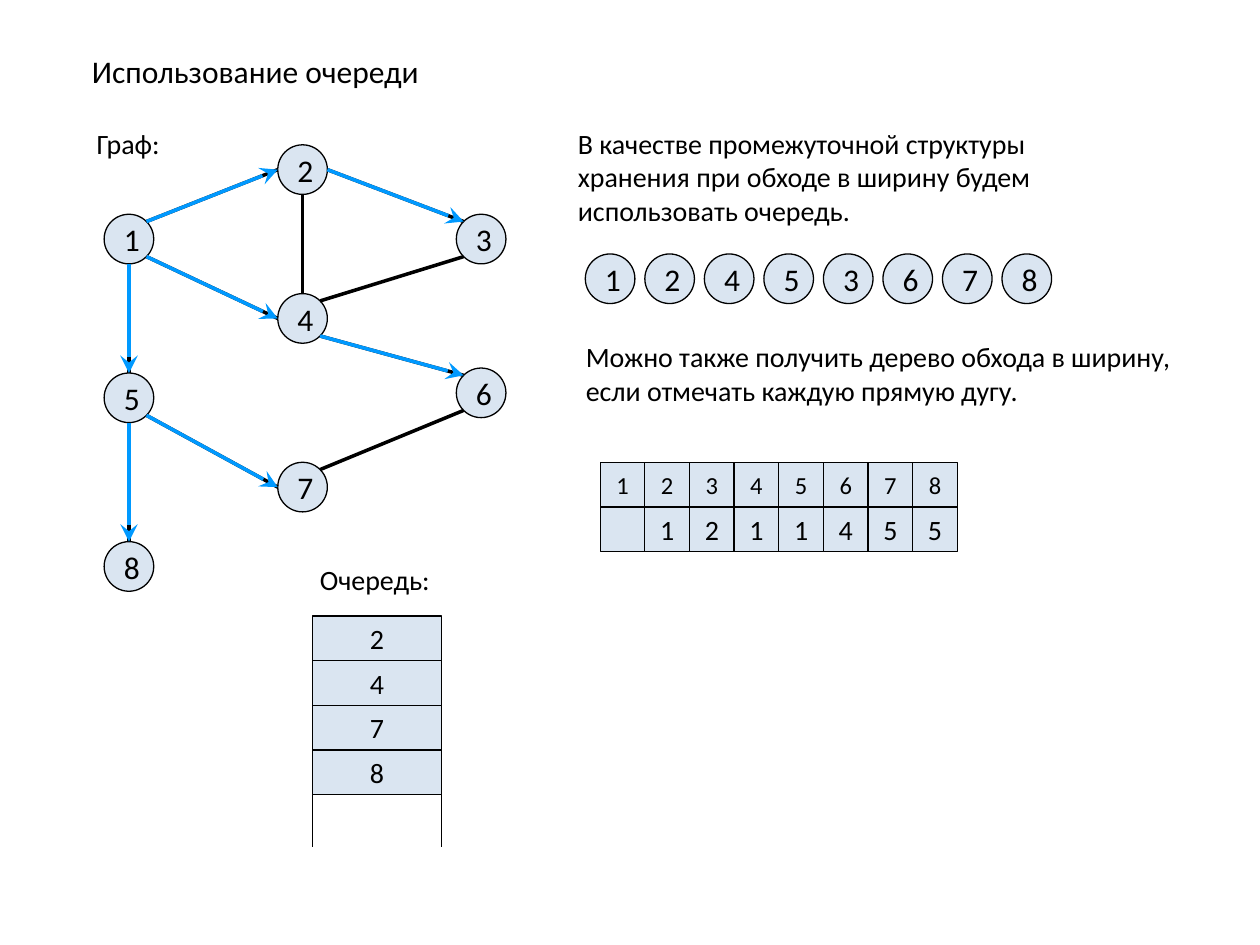
from math import cos, radians, sin

from lxml import etree
from pptx import Presentation
from pptx.dml.color import RGBColor
from pptx.enum.shapes import MSO_CONNECTOR, MSO_SHAPE
from pptx.enum.text import MSO_ANCHOR, MSO_AUTO_SIZE, PP_ALIGN
from pptx.oxml.ns import qn
from pptx.util import Cm, Pt

OVAL, RECTANGLE = MSO_SHAPE.OVAL, MSO_SHAPE.RECTANGLE
STRAIGHT = MSO_CONNECTOR.STRAIGHT
TOP, MIDDLE = MSO_ANCHOR.TOP, MSO_ANCHOR.MIDDLE
LEFT, CENTER = PP_ALIGN.LEFT, PP_ALIGN.CENTER
NO_AUTOFIT = MSO_AUTO_SIZE.NONE

BLACK = RGBColor(0x00, 0x00, 0x00)
PALE_BLUE = RGBColor(0xDA, 0xE5, 0xF1)
TREE_BLUE = RGBColor(0x00, 0x99, 0xFF)

# All lengths are in centimetres
NODE_SIZE = 1.0
CELL_SIZE = 0.9
THIN, THICK = 0.75, 2

# Top left corner of each graph node
NODES = {
    1: (2.1, 4.32), 2: (5.6, 2.92), 3: (9.2, 4.32), 4: (5.6, 5.92),
    5: (2.1, 7.52), 6: (9.2, 7.42), 7: (5.6, 9.32), 8: (2.1, 10.92),
}

# Where an edge touches a node, in degrees clockwise from the right
SITES = {"E": 0, "SE": 45, "S": 90, "SW": 135, "W": 180, "NW": 225, "N": 270, "NE": 315}

# Edges: node, site, node, site
TREE_EDGES = [
    (1, "NE", 2, "W"), (1, "SE", 4, "W"), (1, "S", 5, "N"), (2, "E", 3, "NW"),
    (4, "SE", 6, "NW"), (5, "SE", 7, "W"), (5, "S", 8, "N"),
]
OTHER_EDGES = [(2, "S", 4, "N"), (4, "NE", 3, "SW"), (6, "SW", 7, "NE")]

VISIT_ORDER = [1, 2, 4, 5, 3, 6, 7, 8]
PARENTS = ["", 1, 2, 1, 1, 4, 5, 5]
QUEUE = [2, 4, 7, 8]

# Text boxes: left, top, width, height, paragraphs ("\v" is a line break)
CAPTIONS = [
    (1.7, 2.42, 2.06, 0.94, "Граф:"),
    (11.4, 2.42, 10.67, 2.28,
     "В качестве промежуточной структуры \vхранения при обходе в ширину будем\n"
     "использовать очередь."),
    (11.56, 6.72, 13.54, 1.63,
     "Можно также получить дерево обхода в ширину, \vесли отмечать каждую прямую дугу."),
    (6.2, 11.22, 2.97, 0.94, "Очередь:"),
]


def write(frame, text, size, align=LEFT, anchor=TOP):
    frame.text = text
    frame_format = {"word_wrap": True, "auto_size": NO_AUTOFIT, "vertical_anchor": anchor}
    for key, value in frame_format.items():
        setattr(frame, key, value)
    font_format = {"name": "Calibri", "size": Pt(size), "bold": False}
    for paragraph in frame.paragraphs:
        paragraph.alignment = align
        for run in paragraph.runs:
            for key, value in font_format.items():
                setattr(run.font, key, value)
            run.font.color.rgb = BLACK
    # Line breaks take the size of their text
    for line_break in frame._txBody.iter(qn("a:br")):
        etree.SubElement(line_break, qn("a:rPr"), sz=str(size * 100))


def add_title(slide, text):
    title = slide.shapes.title
    place = {"left": 1.6, "top": 0.92, "width": 7.72, "height": 1.02}
    for key, value in place.items():
        setattr(title, key, Cm(value))
    write(title.text_frame, text, 18)


def add_caption(slide, left, top, width, height, text):
    caption = slide.shapes.add_textbox(Cm(left), Cm(top), Cm(width), Cm(height))
    write(caption.text_frame, text, 16)


def add_box(slide, outline, left, top, width, height, label, size):
    box = slide.shapes.add_shape(outline, Cm(left), Cm(top), Cm(width), Cm(height))
    box.shadow.inherit = False
    box.fill.solid()
    box.fill.fore_color.rgb = PALE_BLUE
    box.line.color.rgb = BLACK
    box.line.width = Pt(THIN)
    write(box.text_frame, str(label), size, CENTER, MIDDLE)


def add_node(slide, left, top, number):
    add_box(slide, OVAL, left, top, NODE_SIZE, NODE_SIZE, number, 18)


def add_cells(slide, left, top, labels, size):
    for column, label in enumerate(labels):
        add_box(slide, RECTANGLE, left + column * CELL_SIZE, top,
                CELL_SIZE, CELL_SIZE, label, size)


def add_line(slide, start, end, color, width, arrow=False):
    ends = [Cm(value) for value in (*start, *end)]
    line = slide.shapes.add_connector(STRAIGHT, *ends)
    line.line.color.rgb = color
    line.line.width = Pt(width)
    if arrow:
        etree.SubElement(line.line._get_or_add_ln(), qn("a:tailEnd"),
                         type="stealth", w="lg", len="lg")
    etree.SubElement(line._element.spPr, qn("a:effectLst"))


def site_point(node, site):
    radius, angle = NODE_SIZE / 2, radians(SITES[site])
    left, top = NODES[node]
    return left + radius * (1 + cos(angle)), top + radius * (1 + sin(angle))


def add_edges(slide, edges, color, arrow=False):
    for first, first_site, second, second_site in edges:
        add_line(slide, site_point(first, first_site), site_point(second, second_site),
                 color, THICK, arrow)


def add_queue(slide, left, top, width):
    # Open frame, then the filled places
    right, frame_top, bottom = left + width, top + 0.05, 17.07
    corners = [(left, bottom), (left, frame_top), (right, frame_top), (right, bottom)]
    for start, end in zip(corners, corners[1:]):
        add_line(slide, start, end, BLACK, THIN)
    for row, number in enumerate(QUEUE):
        add_box(slide, RECTANGLE, left, top + row * CELL_SIZE, width, CELL_SIZE, number, 16)


def main():
    deck = Presentation()
    deck.slide_width, deck.slide_height = Cm(25.4), Cm(19.05)
    slide = deck.slides.add_slide(deck.slide_layouts[5])

    add_title(slide, "Использование очереди")
    for caption in CAPTIONS:
        add_caption(slide, *caption)

    # Graph with its breadth-first tree on top
    for number, (left, top) in NODES.items():
        add_node(slide, left, top, number)
    add_edges(slide, TREE_EDGES + OTHER_EDGES, BLACK)
    add_edges(slide, TREE_EDGES, TREE_BLUE, arrow=True)

    # Order of visits
    for step, number in enumerate(VISIT_ORDER):
        add_node(slide, 11.8 + step * 1.2, 5.12, number)

    # Nodes and their parents in the tree
    add_cells(slide, 12.1, 9.32, NODES, 14)
    add_cells(slide, 12.1, 9.32 + CELL_SIZE, PARENTS, 16)

    add_queue(slide, 6.3, 12.42, 2.6)
    deck.save("out.pptx")


if __name__ == "__main__":
    main()
